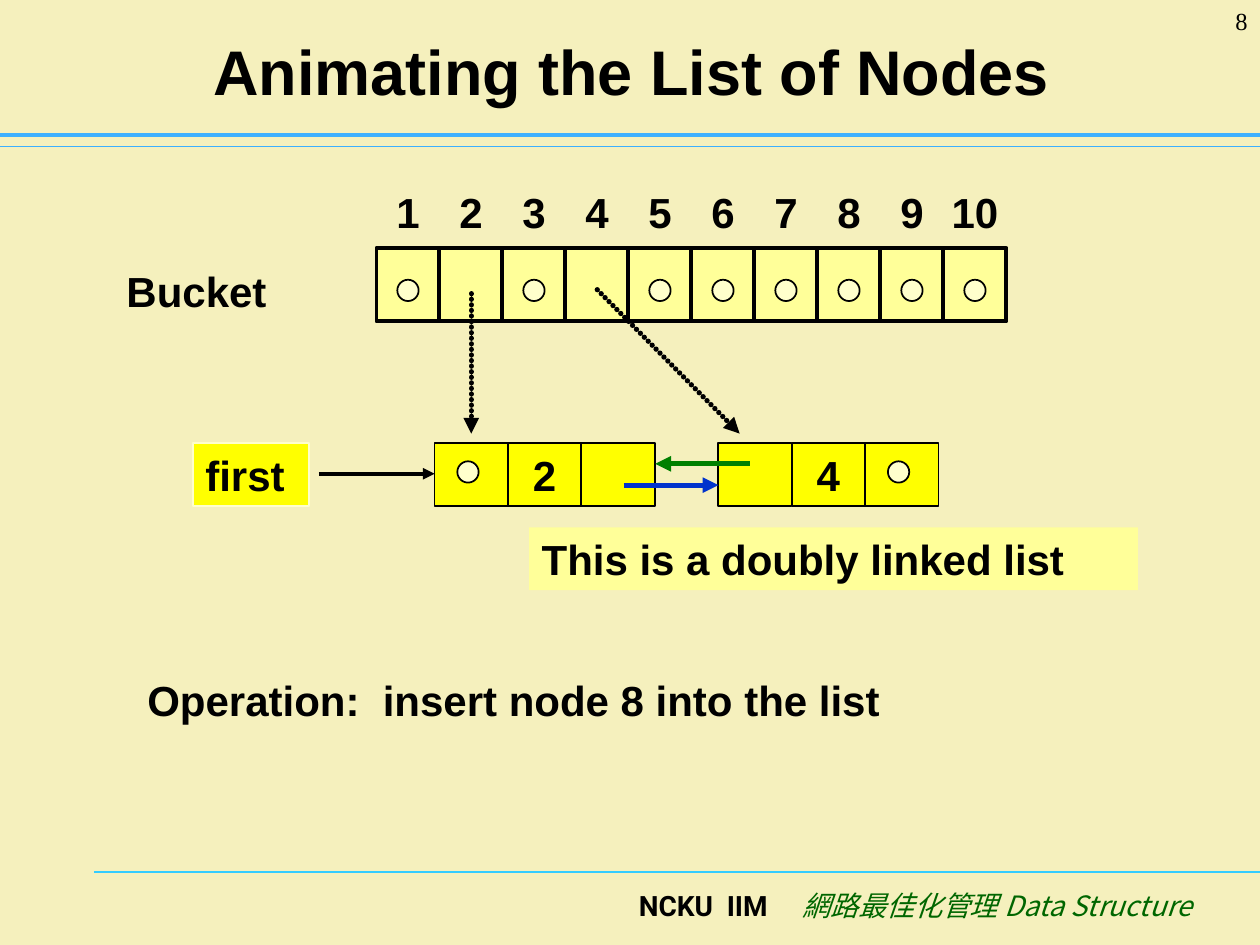
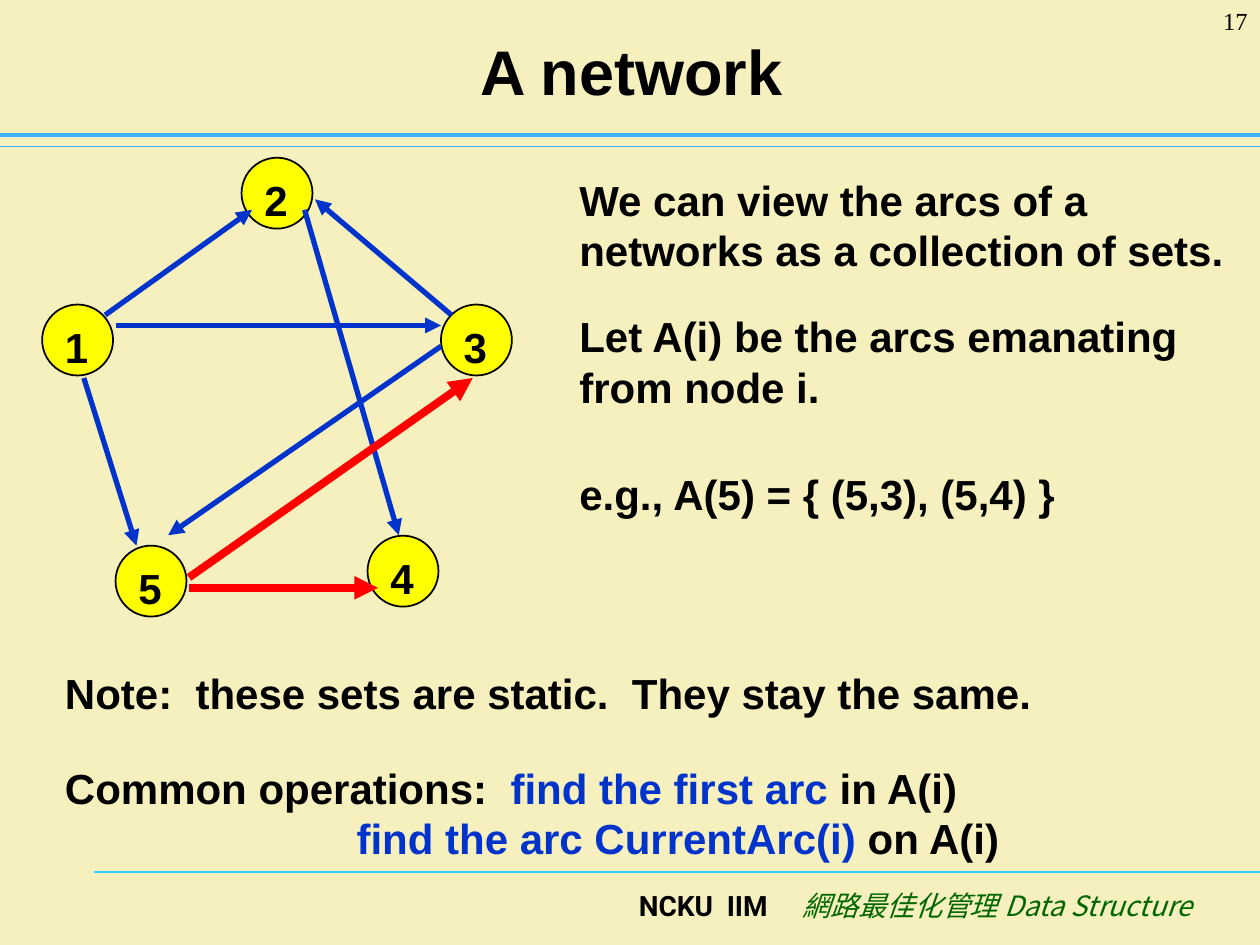
from dataclasses import dataclass

from lxml.etree import SubElement
from pptx import Presentation
from pptx.dml.color import RGBColor
from pptx.enum.shapes import MSO_CONNECTOR, MSO_SHAPE
from pptx.enum.text import MSO_ANCHOR, PP_ALIGN
from pptx.oxml.ns import qn
from pptx.util import Cm, Pt

COLORS = {
    "background": "F5F0BD", "black": "000000", "blue": "0033CC", "green": "008000",
    "red": "FF0000", "yellow": "FFFF00", "pale": "FFFF99", "cream": "FFFFCC",
    "band": "3DB0FF", "rule": "33CCFF", "course": "006600",
}
FONTS = {
    "title": {"name": "Arial", "size": Pt(36), "bold": True},
    "body": {"name": "Arial", "size": Pt(24), "bold": True},
    "school": {"name": "Roboto", "size": Pt(16), "bold": True},
    "course": {"name": "Noto Sans CJK SC", "size": Pt(16), "italic": True},
    "number": {"name": "Times New Roman", "size": Pt(14)},
}
CENTERED = {"align": PP_ALIGN.CENTER, "anchor": MSO_ANCHOR.MIDDLE}


@dataclass
class Box:
    x: float
    y: float
    w: float
    h: float

    def lengths(self) -> tuple:
        return Cm(self.x), Cm(self.y), Cm(self.w), Cm(self.h)


@dataclass
class Run:
    text: str
    color: str = "black"
    font: str = "body"


@dataclass
class Line:
    x1: float
    y1: float
    x2: float
    y2: float
    color: str = "blue"
    width: float = 3
    arrow: bool = True
    dotted: bool = False


def rgb(color: str) -> RGBColor:
    return RGBColor.from_string(COLORS[color])


def add_runs(p, runs: list[Run]) -> None:
    for run in runs:
        r = p.add_run()
        r.text = run.text
        for key, value in FONTS[run.font].items():
            setattr(r.font, key, value)
        r.font.color.rgb = rgb(run.color)
        if run.font == "course":
            ea = SubElement(r._r.get_or_add_rPr(), qn("a:ea"))
            ea.set("typeface", FONTS["course"]["name"])


def fill_frame(sp, runs: list[Run], align=PP_ALIGN.LEFT, anchor=MSO_ANCHOR.TOP,
               margin: float = 0.25) -> None:
    """Write the first paragraph of a shape; margin is its left and right inset."""
    tf = sp.text_frame
    frame = {"word_wrap": True, "vertical_anchor": anchor,
             "margin_left": Cm(margin), "margin_right": Cm(margin)}
    for key, value in frame.items():
        setattr(tf, key, value)
    p = tf.paragraphs[0]
    p.alignment = align
    add_runs(p, runs)


def add_text(s, box: Box, *runs: Run, **frame):
    sp = s.shapes.add_textbox(*box.lengths())
    fill_frame(sp, list(runs), **frame)
    return sp


def add_figure(s, kind, box: Box, fill: str, line: str | None = "black", width: float = 1,
               text: str = "", **frame) -> None:
    sp = s.shapes.add_shape(kind, *box.lengths())
    sp.shadow.inherit = False
    sp.fill.solid()
    sp.fill.fore_color.rgb = rgb(fill)
    if line:
        sp.line.color.rgb = rgb(line)
        sp.line.width = Pt(width)
    else:
        sp.line.fill.background()
    if text:
        fill_frame(sp, [Run(text)], **frame)


def add_line(s, line: Line) -> None:
    ends = [Cm(v) for v in (line.x1, line.y1, line.x2, line.y2)]
    c = s.shapes.add_connector(MSO_CONNECTOR.STRAIGHT, *ends)
    c.line.color.rgb = rgb(line.color)
    c.line.width = Pt(line.width)
    sp_pr = c._element.spPr
    ln = sp_pr.find(qn("a:ln"))
    if line.dotted:
        ln.set("cap", "rnd")
        dash = SubElement(SubElement(ln, qn("a:custDash")), qn("a:ds"))
        dash.set("d", "1000")
        dash.set("sp", "105000")
    if line.arrow:
        SubElement(ln, qn("a:tailEnd")).set("type", "triangle")
    SubElement(sp_pr, qn("a:effectLst"))


def add_footer(s) -> None:
    sp = s.shapes.add_textbox(*Box(12.63, 17.78, 12.3, 1.27).lengths())
    tabs = SubElement(sp.text_frame.paragraphs[0]._p.get_or_add_pPr(), qn("a:tabLst"))
    tab = SubElement(tabs, qn("a:tab"))
    tab.set("pos", str(Cm(3.3)))
    tab.set("algn", "l")
    fill_frame(sp, [Run("NCKU  IIM\t", font="school"),
                    Run("網路最佳化管理 Data Structure", "course", "course")])


def add_base(prs, title: str, number: int):
    """Add a slide with its title, rules, footer and number."""
    s = prs.slides.add_slide(prs.slide_layouts[6])
    s.background.fill.solid()
    s.background.fill.fore_color.rgb = rgb("background")
    for x, y, color, width in ((1.9, 17.58, "rule", 0.75), (0, 2.95, "band", 0.75),
                               (0, 2.72, "band", 2.5)):
        add_line(s, Line(x, y, 25.4, y, color, width, arrow=False))
    add_footer(s)
    add_text(s, Box(1.3, 0.32, 22.86, 2.2), Run(title, font="title"), **CENTERED)
    add_text(s, Box(23.29, 0, 2.11, 1.27), Run(str(number), font="number"), align=PP_ALIGN.RIGHT)
    return s


def add_null_mark(s, x: float, y: float) -> None:
    add_figure(s, MSO_SHAPE.OVAL, Box(x, y, 0.43, 0.43), "cream")


def add_bucket(s) -> None:
    left, top, pitch, height = 7.59, 5, 1.27, 1.48
    used = (2, 4)
    for i in range(1, 11):
        x = left + (i - 1) * pitch
        add_figure(s, MSO_SHAPE.RECTANGLE, Box(x, top, pitch, height), "pale", width=2.25)
        add_text(s, Box(x, top - height, pitch, height), Run(str(i)), margin=0, **CENTERED)
        if i not in used:
            add_null_mark(s, x + 0.42, 5.64)
    add_text(s, Box(2.3, 5.22, 4.24, 1.27), Run("Bucket"))


def add_list_node(s, left: float, value: str, null_cell: int) -> None:
    top, pitch = 8.93, 1.48
    for i, text in enumerate(("", value, "")):
        add_figure(s, MSO_SHAPE.RECTANGLE, Box(left + i * pitch, top, pitch, 1.27),
                   "yellow", text=text, margin=0, **CENTERED)
    add_null_mark(s, left + null_cell * pitch + 0.46, 9.3)


def list_slide(prs) -> None:
    s = add_base(prs, "Animating the List of Nodes", 8)
    add_bucket(s)
    add_list_node(s, 8.76, "2", 0)
    add_list_node(s, 14.48, "4", 2)
    add_figure(s, MSO_SHAPE.RECTANGLE, Box(3.89, 8.93, 2.34, 1.27), "yellow", "cream", text="first")
    for line in (
        Line(12.57, 9.78, 14.48, 9.78),
        Line(15.11, 9.35, 13.21, 9.35, "green"),
        Line(6.43, 9.55, 8.76, 9.55, "black", 2.25),
        Line(9.5, 5.92, 9.5, 8.74, "black", dotted=True),
        Line(12.04, 5.84, 14.91, 8.74, "black", dotted=True),
    ):
        add_line(s, line)
    add_text(s, Box(2.72, 13.47, 17.78, 1.27), Run("Operation:  insert node 8 into the list"))
    add_figure(s, MSO_SHAPE.RECTANGLE, Box(10.67, 10.63, 12.27, 1.27), "pale", None,
               text="This is a doubly linked list")


def network_slide(prs) -> None:
    s = add_base(prs, "A network", 17)
    nodes = [(0.85, 6.14), (4.87, 3.18), (8.89, 6.14), (7.41, 10.8), (2.33, 11)]
    for i, (x, y) in enumerate(nodes, 1):
        add_figure(s, MSO_SHAPE.OVAL, Box(x, y, 1.43, 1.43), "yellow", text=str(i))
    for line in (
        Line(2.12, 6.35, 5.08, 4.23),
        Line(6.14, 4.23, 8.04, 10.79),
        Line(2.33, 6.56, 8.89, 6.56),
        Line(1.69, 7.62, 2.75, 11),
        Line(9.1, 6.35, 6.35, 4.02),
        Line(8.89, 6.98, 3.39, 10.79),
        Line(3.81, 11.64, 9.53, 7.62, "red", 4.5),
        Line(3.81, 11.85, 7.62, 11.85, "red", 4.5),
    ):
        add_line(s, line)
    for y, h, text in (
        (3.39, 2.29, "We can view the arcs of a networks as a collection of sets."),
        (6.14, 2.29, "Let A(i) be the arcs emanating from node i."),
        (9.31, 1.27, "e.g., A(5) = { (5,3), (5,4) }"),
    ):
        add_text(s, Box(11.43, y, 13.97, h), Run(text))
    add_text(s, Box(1.06, 13.34, 23.29, 1.27),
             Run("Note:  these sets are static.  They stay the same."))
    sp = add_text(s, Box(1.06, 15.24, 23.29, 2.29), Run("Common operations:  "),
                  Run("find the first arc", "blue"), Run(" in A(i)"))
    p = sp.text_frame.add_paragraph()
    p._p.get_or_add_pPr().set("marL", str(Cm(5.88)))
    add_runs(p, [Run("find the arc CurrentArc(i)", "blue"), Run(" on A(i)")])


def main() -> None:
    prs = Presentation()
    prs.slide_width, prs.slide_height = Cm(25.4), Cm(19.05)
    list_slide(prs)
    network_slide(prs)
    prs.save("out.pptx")


if __name__ == "__main__":
    main()
